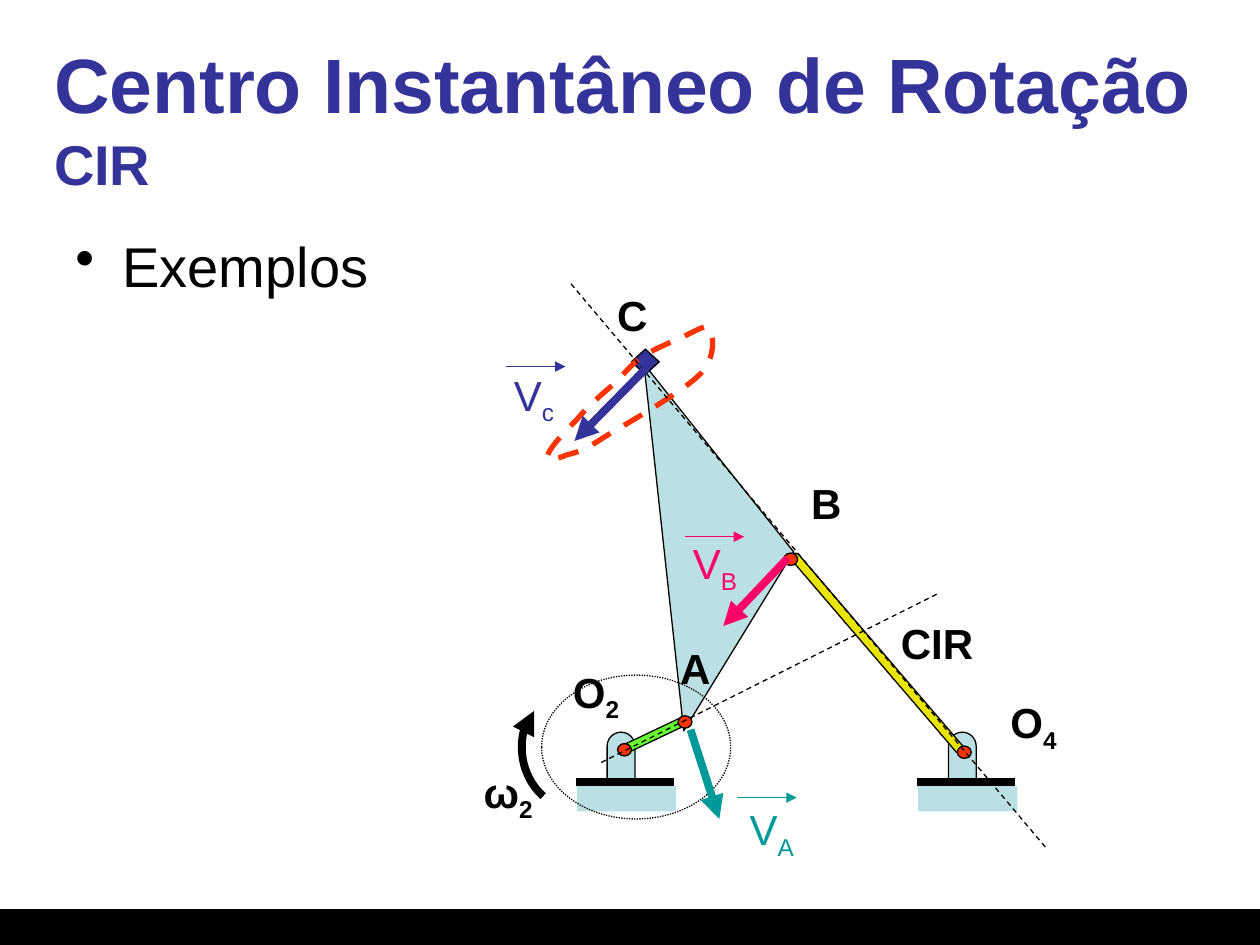
"""Build the slide on the instant centre of rotation of a four-bar linkage."""
from dataclasses import dataclass

import pptx
import pptx.dml.color
import pptx.enum.dml
import pptx.enum.shapes
import pptx.enum.text
import pptx.oxml
import pptx.oxml.ns
import pptx.util

Cm = pptx.util.Cm
Pt = pptx.util.Pt
RGBColor = pptx.dml.color.RGBColor
Shape = pptx.enum.shapes.MSO_SHAPE
Dash = pptx.enum.dml.MSO_LINE
Anchor = pptx.enum.text.MSO_ANCHOR
Point = tuple[float, float]

FONT = "Arial"
BLACK = RGBColor(0x00, 0x00, 0x00)
NAVY = RGBColor(0x33, 0x33, 0x99)
TEAL = RGBColor(0x00, 0x99, 0x99)
PINK = RGBColor(0xFF, 0x00, 0x66)
RED = RGBColor(0xFF, 0x33, 0x00)
PALE = RGBColor(0xBB, 0xE0, 0xE3)
GREEN = RGBColor(0x66, 0xFF, 0x33)
YELLOW = RGBColor(0xE9, 0xE4, 0x00)
THIN, THICK = 0.75, 4.5
BAR_LENGTH = 1.2


@dataclass(frozen=True)
class Label:
    left: float
    top: float
    width: float
    text: str
    subscript: str = ""


@dataclass(frozen=True)
class Velocity:
    start: Point
    end: Point
    bar: Point
    label: Label
    color: RGBColor


SUPPORTS = [11.61, 18.49]
JOINTS = [(15.8, 11.15), (19.3, 15.04), (12.45, 14.99), (13.67, 14.43)]
LABELS = [
    Label(9.5, 15.32, 1.57, "ω", "2"),
    Label(11.3, 13.31, 1.47, "O", "2"),
    Label(20.12, 13.92, 1.47, "O", "4"),
    Label(13.46, 12.83, 1.12, "A"),
    Label(16.1, 9.5, 1.12, "B"),
    Label(12.19, 5.72, 1.12, "C"),
    Label(17.91, 12.32, 1.98, "CIR"),
]
VELOCITIES = [
    Velocity((13.92, 14.71), (14.5, 16.51), (14.86, 16.08),
             Label(14.86, 16.08, 1.45, "V", "A"), TEAL),
    Velocity((15.88, 11.25), (14.58, 12.62), (13.8, 10.82),
             Label(13.72, 10.72, 1.45, "V", "B"), PINK),
    Velocity((13.03, 7.42), (11.58, 8.89), (10.2, 7.39),
             Label(10.11, 7.32, 1.35, "V", "c"), NAVY),
]
AXES = [((12.12, 15.37), (18.92, 11.96)), ((11.51, 5.72), (21.11, 17.12))]
COUPLER_PATH = [
    (11.05, 9.17), (11.07, 9.04), (11.4, 8.69), (11.63, 8.46),
    (11.84, 8.2), (12.17, 7.92), (12.4, 7.72),
    (12.6, 7.52), (12.73, 7.34), (12.95, 7.19),
    (13.18, 7.04), (13.51, 6.91), (13.72, 6.81),
    (13.94, 6.73), (14.25, 6.5), (14.3, 6.63),
    (14.38, 6.76), (14.45, 7.19), (14.12, 7.54),
    (13.77, 7.9), (12.65, 8.53), (12.19, 8.81),
    (11.76, 9.09), (11.63, 9.12), (11.43, 9.17),
    (11.25, 9.25), (11.02, 9.3), (11.05, 9.17),
]
TURN_ARC = [
    (10.77, 14.33), (10.59, 14.53), (10.52, 14.81), (10.52, 15.06),
    (10.52, 15.44), (10.67, 15.8), (10.95, 16.05),
]


def set_line(line, color: RGBColor, width: float, dash=None, arrow: str = "") -> None:
    line.color.rgb = color
    line.width = Pt(width)
    if dash is not None:
        line.dash_style = dash
    if arrow:
        end = pptx.oxml.parse_xml(f'<a:{arrow} {pptx.oxml.ns.nsdecls("a")} type="triangle"/>')
        line._get_or_add_ln().append(end)


def add_figure(page, kind, left: float, top: float, width: float, height: float, *,
               fill=None, outline=BLACK, dash=None, rotation: float = 0, adjust=None):
    figure = page.shapes.add_shape(kind, Cm(left), Cm(top), Cm(width), Cm(height))
    figure.shadow.inherit = False
    figure.rotation = rotation
    if adjust is not None:
        figure.adjustments[0] = adjust
    if fill is None:
        figure.fill.background()
    else:
        figure.fill.solid()
        figure.fill.fore_color.rgb = fill
    if outline is None:
        figure.line.fill.background()
    else:
        set_line(figure.line, outline, THIN, dash)


def add_line(page, start: Point, end: Point, *, color=BLACK, width: float = THIN,
             dash=None, arrow: str = "") -> None:
    line = page.shapes.add_connector(
        pptx.enum.shapes.MSO_CONNECTOR.STRAIGHT, *map(Cm, start + end))
    set_line(line.line, color, width, dash, arrow)
    effects = pptx.oxml.parse_xml(f'<a:effectLst {pptx.oxml.ns.nsdecls("a")}/>')
    line._element.spPr.append(effects)


def add_curve(page, controls: list[Point], *, color: RGBColor, width: float,
              dash=None, arrow: str = "", close: bool = False, steps: int = 10) -> None:
    points = []
    for first in range(0, len(controls) - 1, 3):
        corners = controls[first:first + 4]
        for step in range(1, steps + 1):
            t = step / steps
            weights = ((1 - t) ** 3, 3 * t * (1 - t) ** 2, 3 * t ** 2 * (1 - t), t ** 3)
            points.append(tuple(
                Cm(sum(weight * corner[axis] for weight, corner in zip(weights, corners)))
                for axis in (0, 1)))
    builder = page.shapes.build_freeform(*map(Cm, controls[0]))
    builder.add_line_segments(points, close=close)
    curve = builder.convert_to_shape()
    curve.shadow.inherit = False
    curve.fill.background()
    set_line(curve.line, color, width, dash, arrow)


def add_span(para, text: str, *, size: float, color: RGBColor, bold: bool, baseline: int = 0):
    span = para.add_run()
    span.text = text
    span.font.name = FONT
    span.font.size = Pt(size)
    span.font.bold = bold
    span.font.color.rgb = color
    if baseline:
        span.font._element.set("baseline", str(baseline))


def add_text(page, left: float, top: float, width: float, height: float, text: str, *,
             size: float, color=BLACK, bold: bool = False, subscript: str = "",
             second_line: str = "", second_size: float = 32, bullet: bool = False,
             wrap: bool = True, anchor=Anchor.TOP) -> None:
    box = page.shapes.add_textbox(Cm(left), Cm(top), Cm(width), Cm(height))
    frame = box.text_frame
    frame.word_wrap = wrap
    frame.vertical_anchor = anchor
    if not wrap:
        frame.auto_size = pptx.enum.text.MSO_AUTO_SIZE.SHAPE_TO_FIT_TEXT
    para = frame.paragraphs[0]
    if bullet:
        properties = para._p.get_or_add_pPr()
        properties.set("marL", str(Cm(0.95)))
        properties.set("indent", str(Cm(-0.95)))
        properties.append(pptx.oxml.parse_xml(
            f'<a:buChar {pptx.oxml.ns.nsdecls("a")} char="•"/>'))
    add_span(para, text, size=size, color=color, bold=bold)
    if subscript:
        add_span(para, subscript, size=size, color=color, bold=bold, baseline=-25000)
    if second_line:
        para.add_line_break()
        add_span(para, second_line, size=second_size, color=color, bold=bold)


def add_label(page, label: Label, *, color=BLACK, bold: bool = True) -> None:
    add_text(page, label.left, label.top, label.width, 1.27, label.text,
             subscript=label.subscript, size=24, color=color, bold=bold, wrap=False)


def add_support(page, left: float) -> None:
    add_figure(page, Shape.ROUNDED_RECTANGLE, left + 0.63, 14.76, 0.56, 1.5,
               fill=PALE, adjust=0.5)
    add_line(page, (left, 15.77), (left + 1.98, 15.77), width=THICK)
    add_figure(page, Shape.RECTANGLE, left + 0.02, 15.85, 2, 0.51, fill=PALE, outline=None)


def add_velocity(page, velocity: Velocity) -> None:
    color = velocity.color
    add_line(page, velocity.start, velocity.end, color=color, width=THICK, arrow="tailEnd")
    add_label(page, velocity.label, color=color, bold=False)
    left, top = velocity.bar
    add_line(page, (left, top), (left + BAR_LENGTH, top), color=color, arrow="tailEnd")


def main() -> None:
    deck = pptx.Presentation()
    deck.slide_width, deck.slide_height = Cm(25.4), Cm(19.05)
    page = deck.slides.add_slide(deck.slide_layouts[6])
    add_figure(page, Shape.RECTANGLE, 0, 18.34, 25.4, 0.71, fill=BLACK)
    add_text(page, 0.84, 0.76, 23.7, 3.18, "Centro Instantâneo de Rotação", size=44,
             color=NAVY, bold=True, second_line="CIR", anchor=Anchor.MIDDLE)
    add_text(page, 1.27, 4.55, 22.43, 2.08, "Exemplos", size=32, bullet=True)
    add_figure(page, Shape.ISOSCELES_TRIANGLE, 10.95, 9.6, 7.44, 2.59,
               fill=PALE, rotation=83.8, adjust=0.55)
    for left in SUPPORTS:
        add_support(page, left)
    add_figure(page, Shape.ROUNDED_RECTANGLE, 13.08, 14.07, 0.18, 1.52,
               fill=GREEN, rotation=244.6, adjust=0.5)
    add_figure(page, Shape.DIAMOND, 12.73, 7.04, 0.56, 0.51, fill=NAVY)
    add_figure(page, Shape.ROUNDED_RECTANGLE, 17.6, 10.54, 0.18, 5.26,
               fill=YELLOW, rotation=319.4, adjust=0.5)
    for left, top in JOINTS:
        add_figure(page, Shape.OVAL, left, top, 0.28, 0.25, fill=RED)
    add_figure(page, Shape.OVAL, 10.92, 13.61, 3.81, 2.9, dash=Dash.ROUND_DOT)
    add_curve(page, COUPLER_PATH, color=RED, width=3, dash=Dash.DASH, close=True)
    add_curve(page, TURN_ARC, color=BLACK, width=THICK, arrow="headEnd")
    for start, end in AXES:
        add_line(page, start, end, dash=Dash.DASH)
    for velocity in VELOCITIES:
        add_velocity(page, velocity)
    for label in LABELS:
        add_label(page, label)
    deck.save("out.pptx")


if __name__ == "__main__":
    main()
